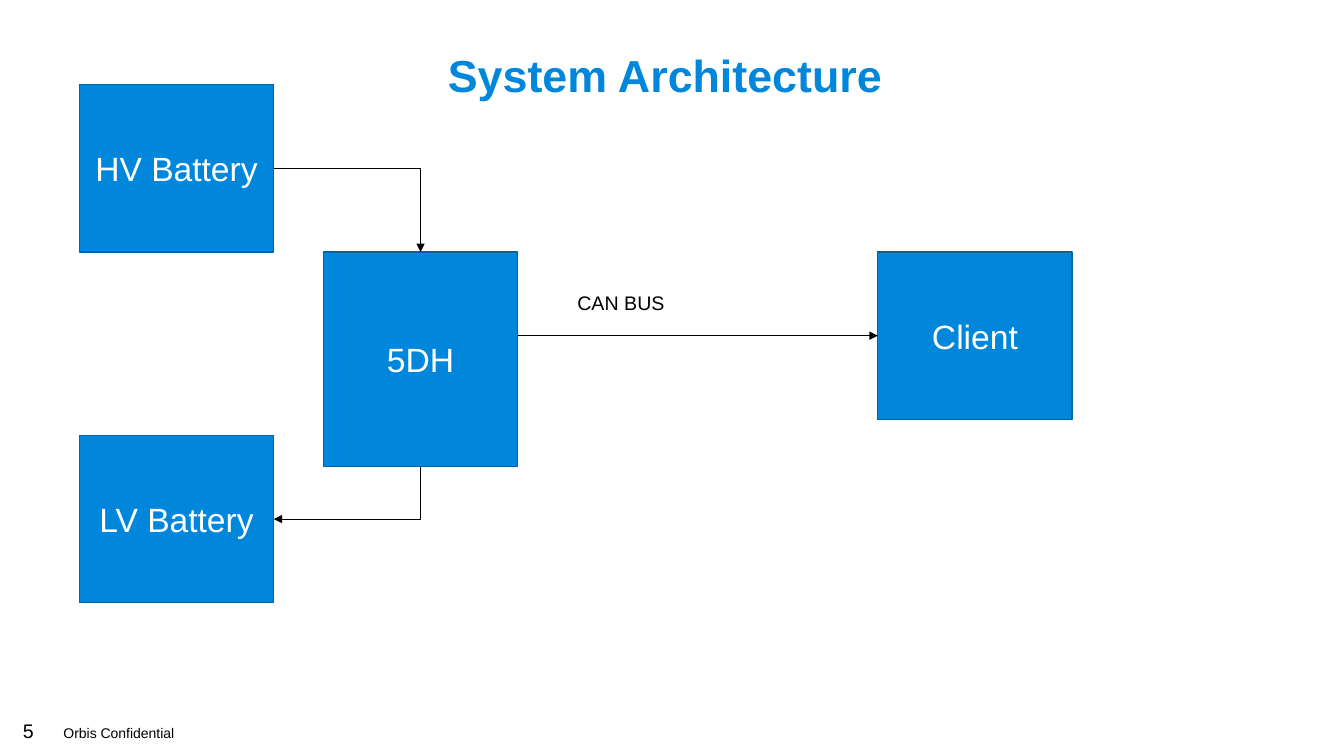
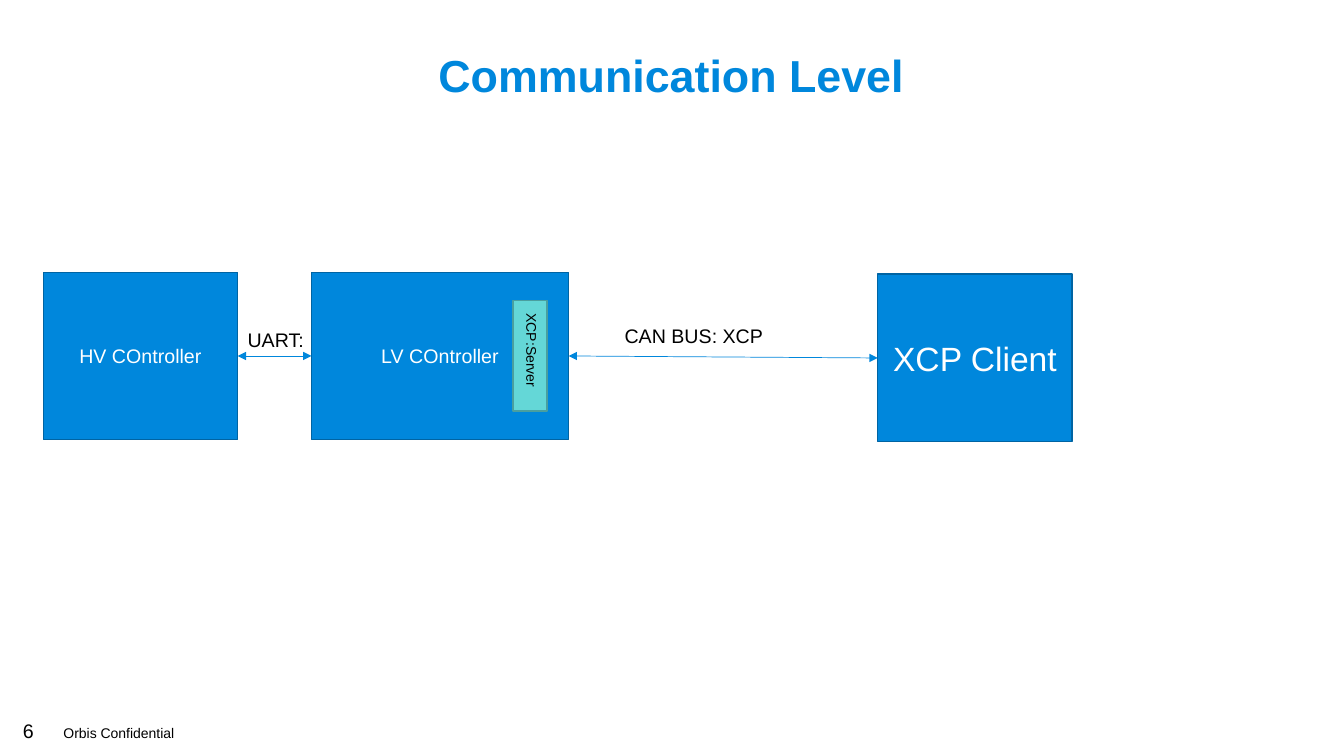
from pptx import Presentation
from pptx.dml.color import RGBColor
from pptx.enum.shapes import MSO_CONNECTOR, MSO_SHAPE
from pptx.enum.text import MSO_ANCHOR, PP_ALIGN
from pptx.oxml.ns import qn
from pptx.util import Cm, Pt
from lxml.etree import SubElement

COLORS = {
    "blue": "0087DC",
    "blue_edge": "0064A3",
    "teal": "64D7D7",
    "teal_edge": "4A9F9F",
    "black": "000000",
    "white": "FFFFFF",
}
FONT = "Arial"
NODE_WIDTH, NODE_HEIGHT = 4.9, 4.22
LABEL_HEIGHT = 0.86
TOP, LEFT, BOTTOM, RIGHT = range(4)


def rgb(color):
    """Return the named colour of the palette."""
    return RGBColor.from_string(COLORS[color])


def write(frame, text, size, color="black", align=PP_ALIGN.LEFT, bold=False):
    """Put one formatted paragraph into a text frame."""
    frame.text = text
    paragraph = frame.paragraphs[0]
    paragraph.alignment = align
    font = paragraph.runs[0].font
    font.name, font.size, font.bold = FONT, Pt(size), bold
    font.color.rgb = rgb(color)
    return paragraph


def add_label(slide, box, text, size=14, wrap=True):
    """Add a plain text label in a box given in centimetres."""
    label = slide.shapes.add_textbox(*map(Cm, box))
    label.text_frame.word_wrap = wrap
    write(label.text_frame, text, size)
    return label


def add_block(slide, box, fill="blue", edge="blue_edge"):
    """Add a filled, outlined rectangle in a box given in centimetres."""
    block = slide.shapes.add_shape(MSO_SHAPE.RECTANGLE, *map(Cm, box))
    block.shadow.inherit = False
    block.fill.solid()
    block.fill.fore_color.rgb = rgb(fill)
    block.line.color.rgb = rgb(edge)
    block.line.width = Pt(1)
    return block


def add_node(slide, left, top, text, size=24, width=NODE_WIDTH, height=NODE_HEIGHT):
    """Add a named block of the diagram."""
    node = add_block(slide, (left, top, width, height))
    node.text_frame.word_wrap = True
    node.text_frame.vertical_anchor = MSO_ANCHOR.MIDDLE
    write(node.text_frame, text, size, "white", PP_ALIGN.CENTER)
    return node


def add_arrow(slide, start, end, color="black", kind=MSO_CONNECTOR.STRAIGHT, both=False):
    """Join two (node, side) pairs; a side of None starts level with the end node."""
    (source, source_side), (target, target_side) = start, end
    level = target.top + target.height // 2
    arrow = slide.shapes.add_connector(
        kind, source.left + source.width, level, target.left, level)
    if source_side is not None:
        arrow.begin_connect(source, source_side)
    arrow.end_connect(target, target_side)
    arrow.line.color.rgb = rgb(color)
    arrow.line.width = Pt(0.5)
    line = arrow.line._get_or_add_ln()
    for tag in ("a:headEnd", "a:tailEnd") if both else ("a:tailEnd",):
        SubElement(line, qn(tag)).set("type", "triangle")
    SubElement(arrow._element.spPr, qn("a:effectLst"))
    return arrow


def add_bent_arrow(slide, start, end, turned=False):
    """Add a one-corner arrow, turned a quarter when it runs down and then left."""
    arrow = add_arrow(slide, start, end, kind=MSO_CONNECTOR.ELBOW)
    properties = arrow._element.spPr
    properties.find(qn("a:prstGeom")).set("prst", "bentConnector2")
    if turned:
        transform = properties.find(qn("a:xfrm"))
        transform.attrib.pop("flipH", None)
        transform.set("rot", "5400000")
        width, height = arrow.width, arrow.height
        arrow.left += (width - height) // 2
        arrow.top += (height - width) // 2
        arrow.width, arrow.height = height, width


def add_page(deck, title, number):
    """Add a slide with its title, page number and footer."""
    slide = deck.slides.add_slide(deck.slide_layouts[6])
    add_label(slide, (0.33, 17.98, 1.12, LABEL_HEIGHT), str(number), wrap=False)
    add_label(slide, (1.35, 18.14, 3.3, 0.69), "Orbis Confidential", 10, wrap=False)
    heading = slide.shapes.add_textbox(Cm(1.12), Cm(1.22), Cm(31.6), Cm(1.88))
    frame = heading.text_frame
    frame.word_wrap = True
    frame.margin_left = frame.margin_right = 0
    write(frame, title, 32, "blue", PP_ALIGN.CENTER, True).line_spacing = 0.9
    return slide


def draw_architecture(slide, left, top):
    """Draw the batteries, the converter and its client from a top left corner."""
    row = top + NODE_HEIGHT
    converter = add_node(slide, left + 6.15, row, "5DH", height=5.41)
    client = add_node(slide, left + 20.12, row, "Client")
    hv_battery = add_node(slide, left, top, "HV Battery")
    lv_battery = add_node(slide, left, top + 8.84, "LV Battery")
    add_arrow(slide, (converter, None), (client, LEFT))
    add_bent_arrow(slide, (hv_battery, RIGHT), (converter, TOP))
    add_bent_arrow(slide, (converter, BOTTOM), (lv_battery, RIGHT), turned=True)
    add_label(slide, (left + 12.3, top + 5.08, 7.16, LABEL_HEIGHT), "CAN BUS")


def draw_communication(slide, left, top):
    """Draw the controllers and the client from a top left corner."""
    client = add_node(slide, left + 21.03, top + 0.05, "XCP Client")
    hv_controller = add_node(slide, left, top, "HV COntroller", 14)
    lv_controller = add_node(slide, left + 6.76, top, "LV COntroller", 14, 6.48)
    for source, target in ((hv_controller, lv_controller), (lv_controller, client)):
        add_arrow(slide, (source, RIGHT), (target, LEFT), "blue", both=True)
    add_label(slide, (left + 14.4, top + 1.17, 4.01, LABEL_HEIGHT), "CAN BUS: XCP")
    add_label(slide, (left + NODE_WIDTH, top + 1.27, 3.07, LABEL_HEIGHT), "UART:")
    add_block(slide, (left + 11.84, top + 0.71, 0.86, 2.79), "teal", "teal_edge")
    server = add_label(slide, (left + 10.77, top + 1.98, 3.07, 0.69), "XCP:Server", 10)
    server.rotation = 90


def main():
    """Build and save the deck."""
    deck = Presentation()
    deck.slide_width, deck.slide_height = Cm(33.87), Cm(19.05)
    draw_architecture(add_page(deck, "System Architecture ", 5), 2, 2.13)
    draw_communication(add_page(deck, "Communication Level", 6), 1.09, 6.86)
    deck.save("out.pptx")


if __name__ == "__main__":
    main()
